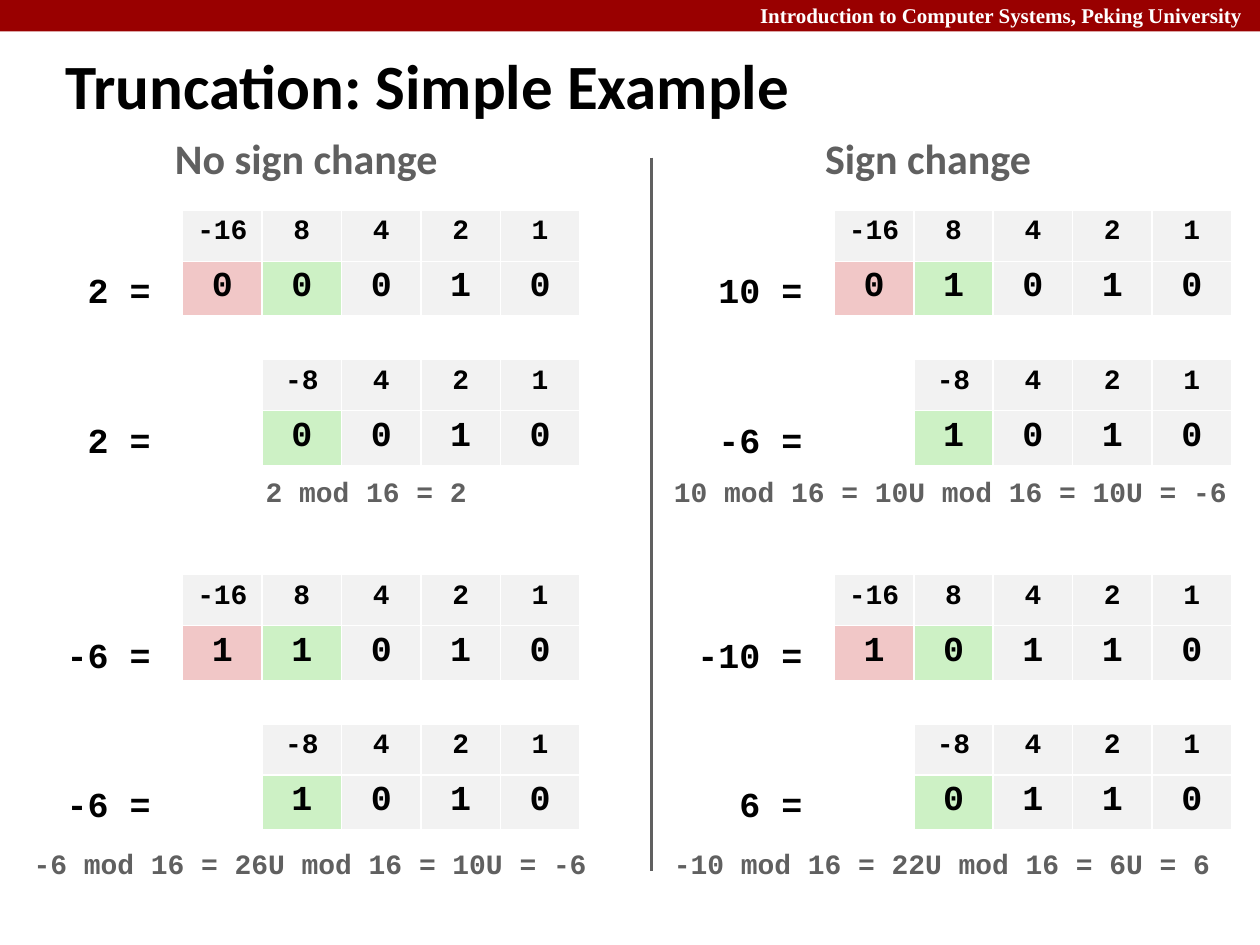
from lxml.etree import SubElement
from pptx import Presentation
from pptx.dml.color import RGBColor
from pptx.enum.shapes import MSO_CONNECTOR, MSO_SHAPE
from pptx.enum.text import MSO_ANCHOR, PP_ALIGN
from pptx.oxml.ns import qn
from pptx.util import Pt

COURSE = "Introduction to Computer Systems, Peking University"
TITLE = "Truncation: Simple Example"

# Each column: heading with its left and width, then two cases.
# Each case: (label, bits) before and after truncation, caption and its left.
COLUMNS = [
    (("No sign change", 92.9, 166.3), [
        (("2 =", "00010"), ("2 =", "0010"), "2 mod 16 = 2", 144.7),
        (("-6 =", "11010"), ("-6 =", "1010"),
         "-6 mod 16 = 26U mod 16 = 10U = -6", 12.2),
    ]),
    (("Sign change", 464.4, 133.2), [
        (("10 =", "01010"), ("-6 =", "1010"),
         "10 mod 16 = 10U mod 16 = 10U = -6", 378),
        (("-10 =", "10110"), ("6 =", "0110"),
         "-10 mod 16 = 22U mod 16 = 6U = 6", 378),
    ]),
]

MONO, SANS, SERIF = "Courier New", "Calibri", "Times New Roman"
BLACK, GREY, WHITE, BANNER = "000000", "606060", "FFFFFF", "990000"
CELL, DROPPED_BIT, SIGN_BIT = "F2F2F2", "F1C7C7", "CDF1C5"

TABLE_LEFT, COLUMN_STEP = 104.4, 372.4
CASE_TOPS, CAPTION_TOPS = (120.1, 328.3), (267.8, 480.2)
TRUNCATED_STEP, LABEL_DROP = 85.4, 30
BIT_COUNT, BIT_WIDTH = 5, 45.4
ROW_HEIGHTS = (29.2, 31.2)


def color(hex_code):
    return RGBColor.from_string(hex_code)


def style(paragraph, size, face, hex_code, align=PP_ALIGN.LEFT):
    paragraph.alignment = align
    font = paragraph.font
    font.size, font.name, font.bold = Pt(size), face, True
    font.color.rgb = color(hex_code)


def add_text(text, left, top, width, height, size, face, hex_code,
             align=PP_ALIGN.LEFT):
    frame = slide.shapes.add_textbox(
        Pt(left), Pt(top), Pt(width), Pt(height)).text_frame
    frame.word_wrap = True
    frame.text = text
    style(frame.paragraphs[0], size, face, hex_code, align)


def mono_width(text, size):
    """Width of a box for monospaced text, with one character to spare."""
    return (len(text) + 1) * size * 0.6 + 14.4


def add_borders(cell):
    properties = cell._tc.get_or_add_tcPr()
    for position, side in enumerate(("lnL", "lnR", "lnT", "lnB")):
        line = properties.makeelement(qn(f"a:{side}"), {"w": str(Pt(1))})
        fill = SubElement(line, qn("a:solidFill"))
        SubElement(fill, qn("a:srgbClr"), val=WHITE)
        properties.insert(position, line)


def add_bit_table(bits, left, top):
    """Place weights above bits; the leading weight is negative."""
    skipped = BIT_COUNT - len(bits)
    weights = [str(2 ** power) for power in reversed(range(len(bits)))]
    weights[0] = "-" + weights[0]
    table = slide.shapes.add_table(
        2, BIT_COUNT, Pt(left), Pt(top),
        Pt(BIT_COUNT * BIT_WIDTH), Pt(sum(ROW_HEIGHTS))).table
    for column in table.columns:
        column.width = Pt(BIT_WIDTH)
    bit_fills = [DROPPED_BIT, SIGN_BIT] + [CELL] * 3
    for row, (values, size) in enumerate(((weights, 16), (bits, 20))):
        table.rows[row].height = Pt(ROW_HEIGHTS[row])
        for column in range(BIT_COUNT):
            cell = table.cell(row, column)
            cell.fill.solid()
            if column < skipped:
                fill = WHITE
            else:
                fill = bit_fills[column] if row else CELL
                cell.text = values[column - skipped]
                style(cell.text_frame.paragraphs[0], size, MONO, BLACK,
                      PP_ALIGN.CENTER)
            cell.fill.fore_color.rgb = color(fill)
            if row:
                add_borders(cell)


presentation = Presentation()
presentation.slide_width, presentation.slide_height = Pt(720), Pt(540)
slide = presentation.slides.add_slide(presentation.slide_layouts[5])

banner = slide.shapes.add_shape(MSO_SHAPE.RECTANGLE, 0, 0, Pt(720), Pt(18))
banner.shadow.inherit = False
banner.fill.solid()
banner.fill.fore_color.rgb = color(BANNER)
banner.line.fill.background()
add_text(COURSE, 324, -2, 393, 21.6, 12, SERIF, WHITE, PP_ALIGN.RIGHT)

title = slide.shapes.title
title.left, title.top, title.width, title.height = map(
    Pt, (30.2, 25.2, 689.8, 45.4))
title.text_frame.text = TITLE
title.text_frame.vertical_anchor = MSO_ANCHOR.MIDDLE
style(title.text_frame.paragraphs[0], 36, SANS, BLACK)

divider = slide.shapes.add_connector(
    MSO_CONNECTOR.STRAIGHT, Pt(372.2), Pt(90), Pt(372.2), Pt(498))
divider.line.color.rgb = color(GREY)
divider.line.width = Pt(2)
SubElement(divider._element.spPr, qn("a:effectLst"))

for column, ((heading, heading_left, heading_width), cases) in enumerate(COLUMNS):
    table_left = TABLE_LEFT + column * COLUMN_STEP
    add_text(heading, heading_left, 72, heading_width, 36.4, 24, SANS, GREY)
    for (*numbers, caption, caption_left), case_top, caption_top in zip(
            cases, CASE_TOPS, CAPTION_TOPS):
        for step, (label, bits) in enumerate(numbers):
            top = case_top + step * TRUNCATED_STEP
            label_width = mono_width(label, 20)
            add_text(label, table_left + 1 - label_width, top + LABEL_DROP,
                     label_width, 31.5, 20, MONO, BLACK)
            add_bit_table(bits, table_left, top)
        add_text(caption, caption_left, caption_top, mono_width(caption, 16),
                 26.7, 16, MONO, GREY)

presentation.save("out.pptx")
